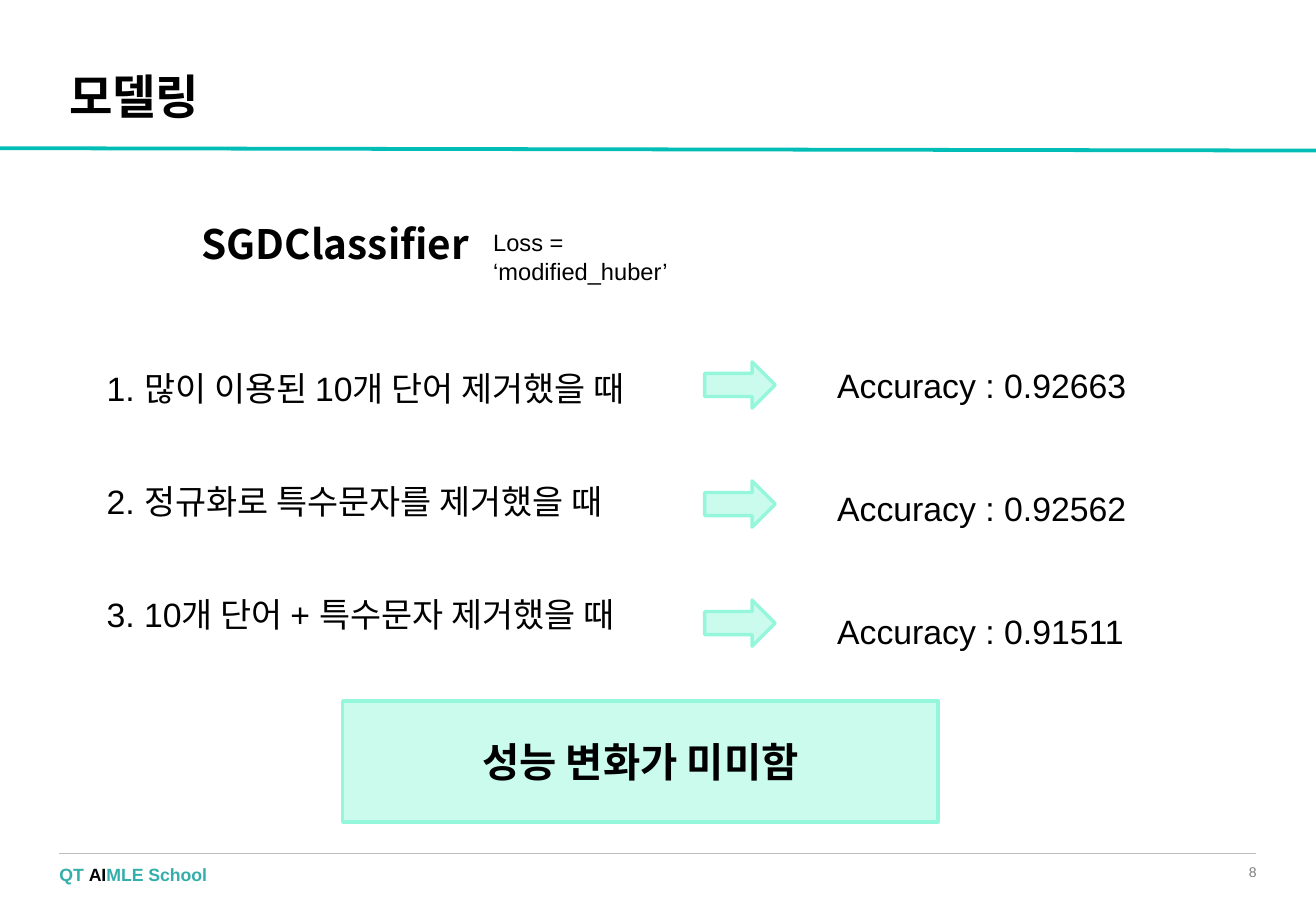
from lxml.etree import SubElement
from pptx import Presentation
from pptx.dml.color import RGBColor
from pptx.enum.shapes import MSO_CONNECTOR as Connector, MSO_SHAPE as Shape
from pptx.enum.text import MSO_ANCHOR as Anchor, PP_ALIGN as Align
from pptx.oxml.ns import qn
from pptx.util import Inches, Pt

COLORS = {
    "ink": "000000",
    "rule": "02BDB6",
    "hairline": "BFBFBF",
    "number": "7F7F7F",
    "brand": "34AEAA",
    "mint": "CAFBED",
    "mint_edge": "94F7DC",
}
SANS = "Arial"
KOREAN = "Noto Sans CJK KR"
GRID = 100  # columns and rows per slide


def color(name):
    return RGBColor.from_string(COLORS[name])


class SlideBuilder:
    def __init__(self, deck):
        self.page = deck.slides.add_slide(deck.slide_layouts[6])
        self.column = deck.slide_width / GRID
        self.row = deck.slide_height / GRID

    def place(self, x, y):
        return round(x * self.column), round(y * self.row)

    def line(self, start, end, ink, width):
        rule = self.page.shapes.add_connector(
            Connector.STRAIGHT, *self.place(*start), *self.place(*end))
        rule.line.color.rgb = color(ink)
        rule.line.width = Pt(width)
        SubElement(rule._element.spPr, qn("a:effectLst"))

    def style(self, span, size, ink="ink", bold=False, face=SANS):
        span.font.size = Pt(size)
        span.font.bold = bold
        span.font.name = face
        span.font.color.rgb = color(ink)
        SubElement(span._r.get_or_add_rPr(), qn("a:ea"), typeface=KOREAN)

    def fill_text(self, box, text, size, align=Align.LEFT, gap=0, spacing=None, **look):
        frame = box.text_frame
        frame.word_wrap = True
        frame.text = text
        for index, para in enumerate(frame.paragraphs):
            para.alignment = align
            para.line_spacing = spacing
            if index and gap:
                para.space_before = Pt(gap)
            for span in para.runs:
                self.style(span, size, **look)

    def text(self, x, y, width, height, text, size, inset=True, **look):
        box = self.page.shapes.add_textbox(
            *self.place(x, y), *self.place(width, height))
        if not inset:
            frame = box.text_frame
            frame.margin_left = frame.margin_right = 0
            frame.margin_top = frame.margin_bottom = 0
        self.fill_text(box, text, size, **look)
        return box

    def shape(self, kind, x, y, width, height):
        shape = self.page.shapes.add_shape(
            kind, *self.place(x, y), *self.place(width, height))
        shape.shadow.inherit = False
        shape.fill.solid()
        shape.fill.fore_color.rgb = color("mint")
        shape.line.color.rgb = color("mint_edge")
        shape.line.width = Pt(2)
        return shape


def main():
    deck = Presentation()
    deck.slide_width, deck.slide_height = Inches(10.83), Inches(7.5)
    slide = SlideBuilder(deck)

    # Frame: header rule, footer rule, page number, school name
    slide.line((100, 16.53), (0, 16.27), "rule", 2.25)
    slide.line((4.52, 93.73), (95.48, 93.73), "hairline", 0.75)
    number = slide.text(89.29, 94.8, 6.19, 1.87, "8", 8.3, inset=False,
                        align=Align.RIGHT, ink="number")
    number.text_frame.vertical_anchor = Anchor.MIDDLE
    school = slide.text(4.52, 94.8, 29.18, 2.4, "QT ", 10.5, inset=False,
                        ink="brand", bold=True)
    for part, ink in (("AI", "ink"), ("MLE School", "brand")):
        span = school.text_frame.paragraphs[0].add_run()
        span.text = part
        slide.style(span, 10.5, ink=ink, bold=True)

    # Title and model name
    slide.text(4.34, 7.47, 49.58, 8.67, "모델링", 28, spacing=0.9,
               bold=True, face=KOREAN)
    slide.text(14.4, 23.33, 38.41, 6.67, "SGDClassifier", 24,
               bold=True, face=KOREAN)
    slide.text(36.57, 24.4, 16.6, 8, "Loss = ‘modified_huber’", 14)

    # Experiments: condition, arrow, accuracy
    results = (
        ("1. 많이 이용된 10개 단어 제거했을 때", "0.92663"),
        ("2. 정규화로 특수문자를 제거했을 때", "0.92562"),
        ("3. 10개 단어 + 특수문자 제거했을 때", "0.91511"),
    )
    conditions = "\n".join(condition for condition, score in results)
    accuracies = "\n".join(f"Accuracy : {score}" for condition, score in results)
    slide.text(62.7, 39.33, 26.96, 32.8, accuracies, 20, gap=49)
    slide.text(7.2, 39.73, 47.55, 32.8, conditions, 20, gap=43)
    for index in range(len(results)):
        slide.shape(Shape.RIGHT_ARROW, 53.55, 39.73 + 13.07 * index, 5.36, 5.07)

    # Conclusion
    conclusion = slide.shape(Shape.RECTANGLE, 26.04, 76.93, 45.24, 13.33)
    conclusion.text_frame.vertical_anchor = Anchor.MIDDLE
    slide.fill_text(conclusion, "성능 변화가 미미함", 24, align=Align.CENTER, bold=True)

    deck.save("out.pptx")


if __name__ == "__main__":
    main()
